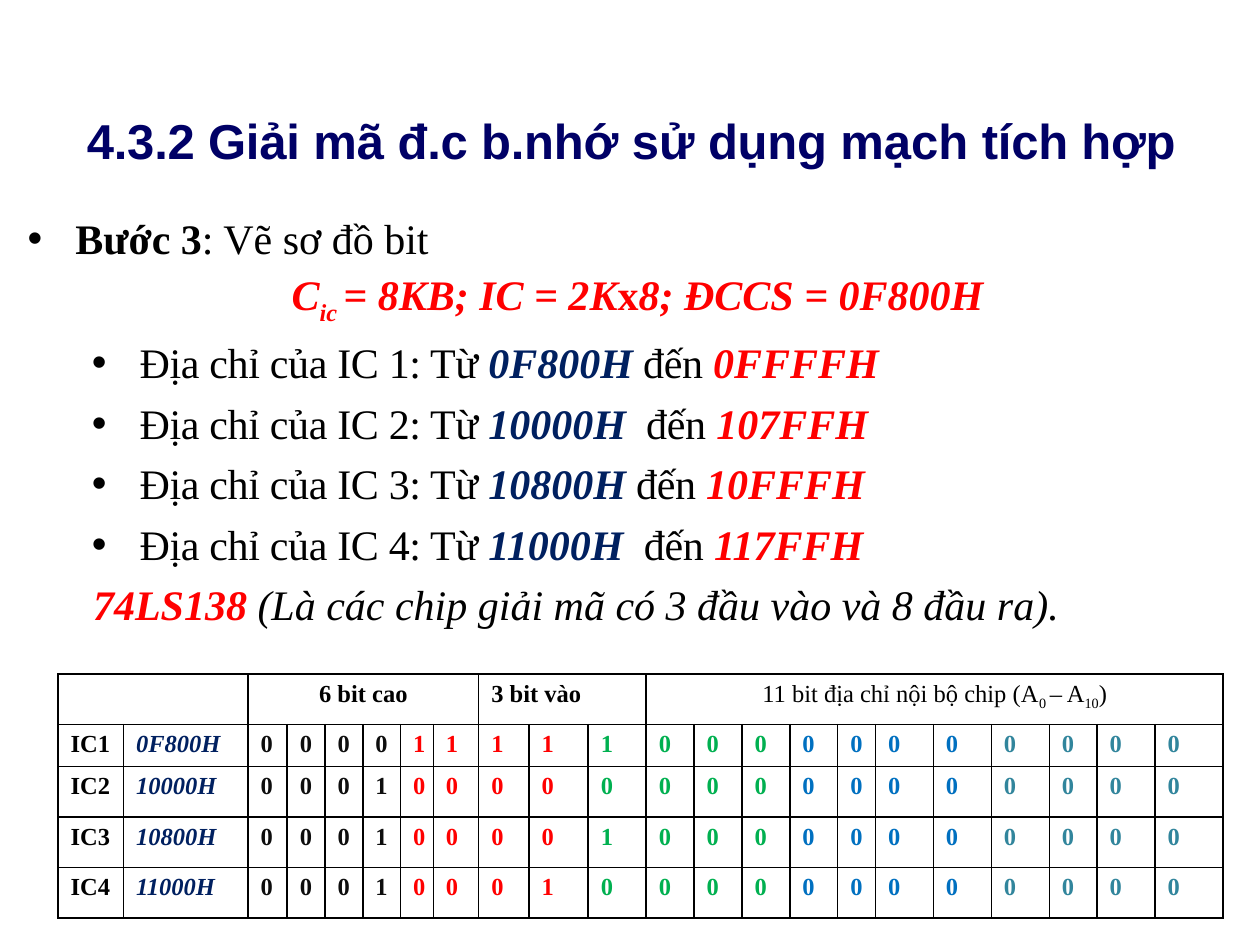
from lxml.etree import SubElement
from pptx import Presentation
from pptx.dml.color import RGBColor
from pptx.enum.text import MSO_AUTO_SIZE, PP_ALIGN
from pptx.oxml.ns import qn
from pptx.util import Inches, Pt

COLORS = {
    "black": "000000", "white": "FFFFFF", "title": "000066", "navy": "002060",
    "red": "FF0000", "ink": "0D0D0D", "green": "00B050", "blue": "0070C0",
    "teal": "31859C",
}
SERIF = "Times New Roman"
BOLD = {"bold": True}
STRONG = {"bold": True, "italic": True}
STARTS = ["0F800H", "10000H", "10800H", "11000H"]
CHIP_SIZE = 0x800
DIGIT_COLORS = ["ink", "red", "green", "blue", "teal"]
COLUMN_WIDTHS = [0.52, 0.99, 0.31, 0.3, 0.3, 0.3, 0.26, 0.36, 0.4, 0.47, 0.46,
                 *[0.38] * 4, 0.3, *[0.46] * 3, 0.38, 0.46, 0.54]
ROW_HEIGHTS = [0.37, 0.3, 0.4, 0.4, 0.4]


def rgb(name):
    return RGBColor.from_string(COLORS[name])


def add_span(para, text, color="black", size=24, name=SERIF, baseline=0, spacing=0,
             **formats):
    """Baseline is in percent, spacing in points."""
    span = para.add_run()
    span.text = text
    for key, value in {"size": Pt(size), "name": name, "bold": False,
                       "italic": False, **formats}.items():
        setattr(span.font, key, value)
    span.font.color.rgb = rgb(color)
    properties = span.font._element
    for key, value in {"baseline": baseline * 1000, "spc": spacing * 100}.items():
        if value:
            properties.set(key, str(round(value)))


def format_para(para, indent=None, bullet=False, **formats):
    """Indent is the left margin and the first-line offset in inches."""
    for key, value in formats.items():
        setattr(para, key, value)
    properties = para._p.get_or_add_pPr()
    if indent:
        for key, value in zip(("marL", "indent"), indent):
            properties.set(key, str(Inches(value)))
    if bullet:
        SubElement(properties, qn("a:buFont"), typeface="Arial")
        SubElement(properties, qn("a:buChar"), char="•")


def add_frame(page, box, margins=None):
    frame = page.shapes.add_textbox(*map(Inches, box)).text_frame
    frame.word_wrap = True
    frame.auto_size = MSO_AUTO_SIZE.SHAPE_TO_FIT_TEXT
    for side, value in (margins or {}).items():
        setattr(frame, f"margin_{side}", Inches(value))
    return frame


def add_title(page, box):
    frame = add_frame(page, box, {"left": 0, "top": 0.01, "right": 0, "bottom": 0})
    para = frame.paragraphs[0]
    format_para(para, indent=(0.01, 0), space_before=Pt(1))
    for text, spacing in [("4.3.2 Giải ", -0.1), ("mã ", 0), ("đ.c b.nhớ ", -0.1),
                          ("sử ", 0), ("dụng ", -0.1), ("mạch ", 0),
                          ("tích hợp", -0.1)]:
        add_span(para, text, "title", 28, "Arial", spacing=spacing, bold=True)


def add_step(page, box):
    para = add_frame(page, box).paragraphs[0]
    format_para(para, (0.38, -0.38), True, alignment=PP_ALIGN.JUSTIFY,
                line_spacing=1.07, space_before=Pt(6), space_after=Pt(6))
    add_span(para, "Bước 3", **BOLD)
    add_span(para, ": Vẽ sơ đồ bit")


def add_formula(page, box):
    frame = add_frame(page, box, {"left": 0, "top": 0.08, "right": 0, "bottom": 0})
    para = frame.paragraphs[0]
    format_para(para, alignment=PP_ALIGN.CENTER, line_spacing=1.07,
                space_before=Pt(6), space_after=Pt(6))
    for text, formats in [("C", {}), ("ic ", {"baseline": -25}),
                          ("= 8KB; IC = 2K", {}), ("x", {"italic": False}),
                          ("8; ĐCCS = 0F800H", {})]:
        add_span(para, text, "red", **{**STRONG, **formats})


def add_address_list(page, box):
    frame = add_frame(page, box)
    spacing = {"line_spacing": 1.01, "space_before": Pt(5.5)}
    for number, start in enumerate(STARTS, 1):
        para = frame.paragraphs[0] if number == 1 else frame.add_paragraph()
        format_para(para, (0.4, -0.38), True, **spacing)
        end = f"{int(start[:-1], 16) + CHIP_SIZE - 1:05X}H"
        joiner = " đến " if number % 2 else "  đến "
        add_span(para, f"Địa chỉ của IC {number}: Từ ", spacing=-0.2)
        add_span(para, start, "navy", **STRONG)
        add_span(para, joiner, spacing=-0.2)
        add_span(para, end, "red", **STRONG)
    para = frame.add_paragraph()
    format_para(para, (0.03, 0), **spacing)
    add_span(para, "74LS138", "red", **STRONG)
    add_span(para, " (Là các chip giải mã có 3 đầu vào và 8 đầu ra).", italic=True)


def style_cell(cell):
    properties = cell._tc.get_or_add_tcPr()
    for edge in ("a:lnL", "a:lnR", "a:lnT", "a:lnB"):
        line = SubElement(properties, qn(edge), w=str(Pt(1)))
        fill = SubElement(line, qn("a:solidFill"))
        SubElement(fill, qn("a:srgbClr"), val=COLORS["black"])
    cell.fill.solid()
    cell.fill.fore_color.rgb = rgb("white")


def add_bit_table(page, box):
    table = page.shapes.add_table(len(ROW_HEIGHTS), len(COLUMN_WIDTHS),
                                  *map(Inches, box)).table
    table.first_row = table.horz_banding = False
    for column, width in zip(table.columns, COLUMN_WIDTHS):
        column.width = Inches(width)
    for row, height in zip(table.rows, ROW_HEIGHTS):
        row.height = Inches(height)
    for cell in table.iter_cells():
        style_cell(cell)

    headers = [
        (2, None, []),
        (6, PP_ALIGN.CENTER, [("6 bit cao", BOLD)]),
        (3, None, [("3 bit vào", BOLD)]),
        (11, PP_ALIGN.CENTER, [("11 bit địa chỉ nội bộ chip (A", {}),
                               ("0 ", {"baseline": -25}), ("– A", {}),
                               ("10", {"baseline": -25}), (")", {})]),
    ]
    first = 0
    for count, alignment, spans in headers:
        cell = table.cell(0, first)
        cell.merge(table.cell(0, first + count - 1))
        para = cell.text_frame.paragraphs[0]
        para.alignment = alignment
        for text, formats in spans:
            add_span(para, text, size=14, **formats)
        first += count

    for number, start in enumerate(STARTS, 1):
        bits = f"{int(start[:-1], 16):020b}"
        entries = [(f"IC{number}", "black", BOLD), (start, "navy", STRONG)]
        entries += [(bit, DIGIT_COLORS[place // 4], BOLD)
                    for place, bit in enumerate(bits)]
        for column, (text, color, formats) in enumerate(entries):
            para = table.cell(number, column).text_frame.paragraphs[0]
            add_span(para, text, color, 14, **formats)


def main():
    deck = Presentation()
    deck.slide_width, deck.slide_height = Inches(10), Inches(7.5)
    page = deck.slides.add_slide(deck.slide_layouts[6])
    add_formula(page, (0.62, 2.02, 8.88, 0.49))
    add_step(page, (0.12, 1.61, 9.38, 0.5))
    add_address_list(page, (0.61, 2.62, 9.38, 2.45))
    add_bit_table(page, (0.46, 5.35, 9.25, 1.87))
    add_title(page, (0.68, 0.87, 8.73, 0.49))
    deck.save("out.pptx")


if __name__ == "__main__":
    main()
